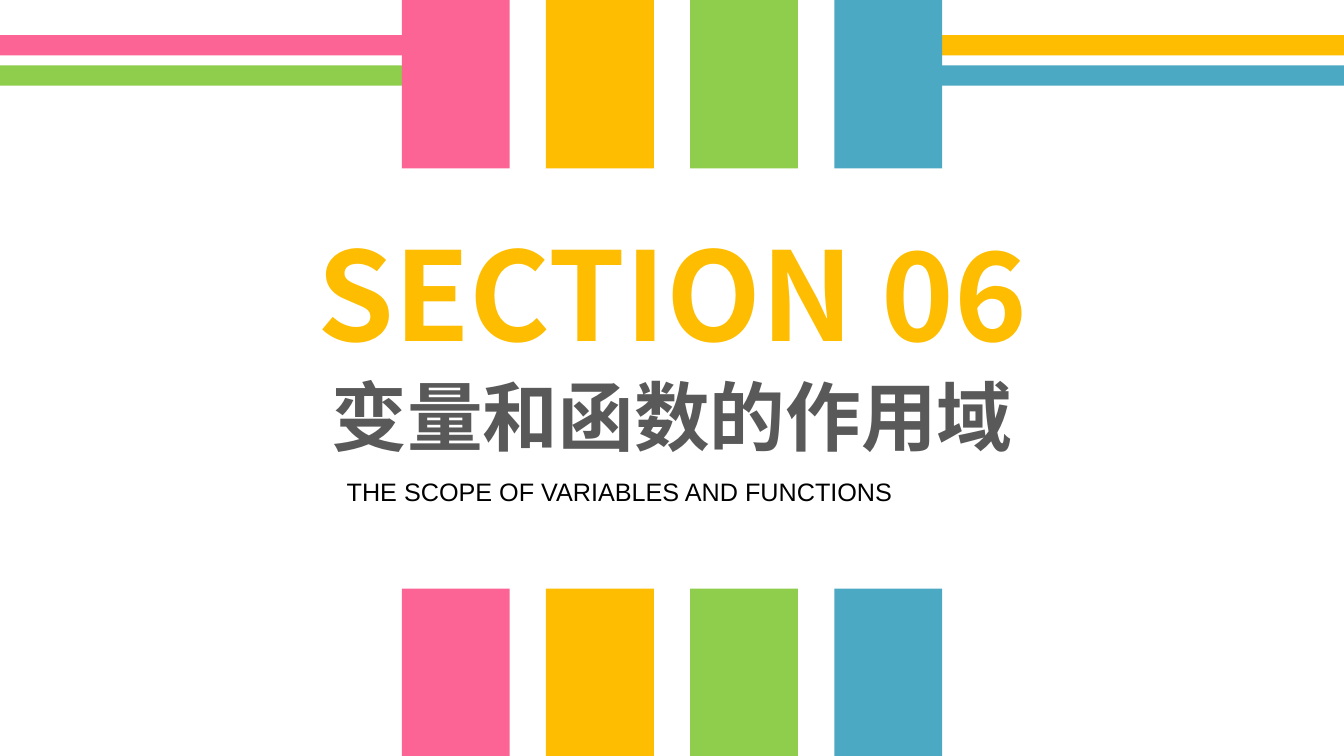
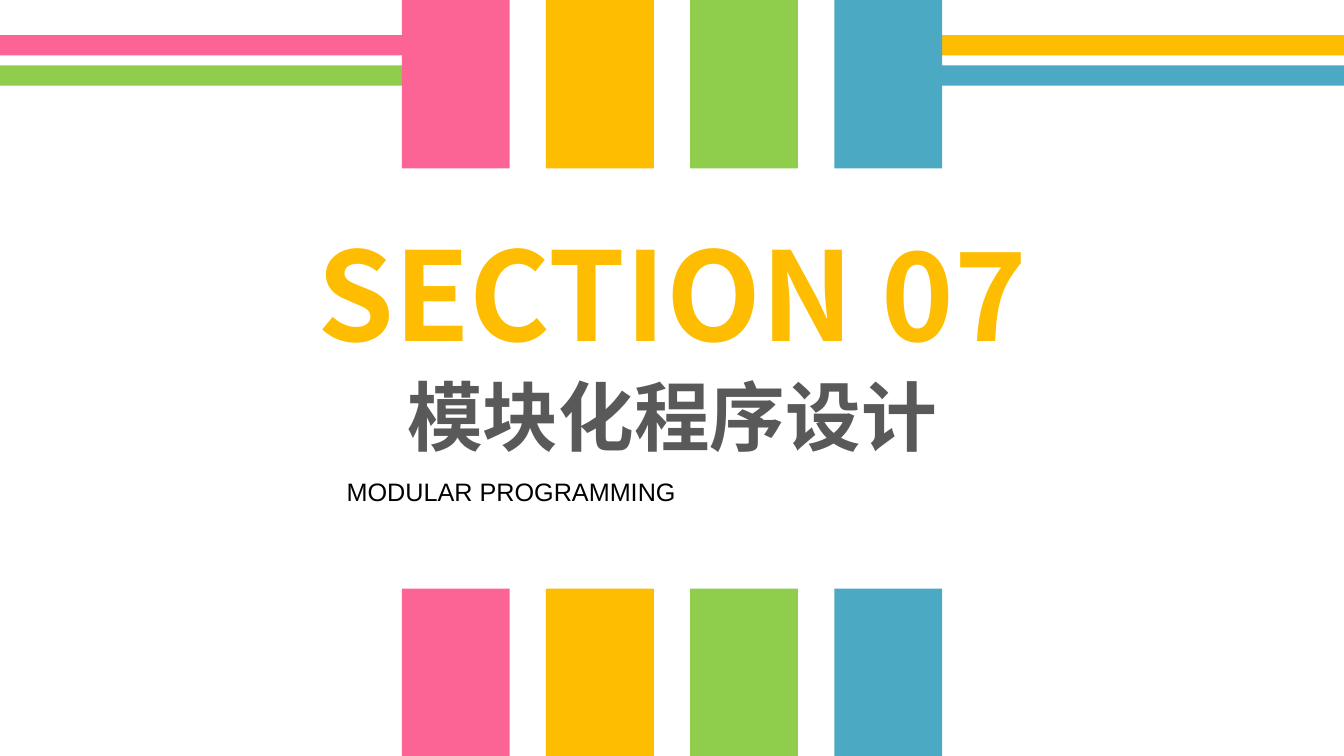
from pptx import Presentation
from pptx.dml.color import RGBColor
from pptx.enum import shapes, text
from pptx.util import Inches, Pt
from lxml import etree

# Content
SECTIONS = [
    ("SECTION 06", "变量和函数的作用域", "THE SCOPE OF VARIABLES AND FUNCTIONS"),
    ("SECTION 07", "模块化程序设计", "MODULAR PROGRAMMING"),
]

# Theme
PINK, YELLOW, GREEN, BLUE = "FC6495", "FEBD01", "8FCD4C", "4BA9C3"
WHITE = "FFFFFF"
CENTER, JUSTIFY = text.PP_ALIGN.CENTER, text.PP_ALIGN.JUSTIFY
HEAD_FONT, BODY_FONT = "Noto Sans CJK SC", "Arial"
THEME = {
    "number": dict(name=HEAD_FONT, size=Pt(88), bold=True, color=YELLOW),
    "title": dict(name=HEAD_FONT, size=Pt(54), bold=True, color="595959"),
    "subtitle": dict(name=BODY_FONT, size=Pt(18), bold=False, color="000000"),
}

# Layout, in inches
SLIDE_W, SLIDE_H = 13.33, 7.5
BAR_W, BAR_GAP = 1.07, 0.36
STRIPE_W, STRIPE_H, STRIPE_TOP, STRIPE_PITCH = 4.76, 0.2, 0.35, 0.3
PANEL = (2.78, 1.67, 7.78, 4.17)
# role: (box, alignment, line spacing, wrap)
TEXT_BOXES = {
    "number": ((2.86, 2.12, 7.61, 1.58), CENTER, 1.0, False),
    "title": ((3.1, 3.62, 7.13, 1.01), CENTER, 1.0, False),
    "subtitle": ((3.34, 4.63, 6.78, 0.45), JUSTIFY, 1.14, True),
}


def add_rect(s, box, color):
    sp = s.shapes.add_shape(shapes.MSO_SHAPE.RECTANGLE, *map(Inches, box))
    sp.shadow.inherit = False
    sp.fill.solid()
    sp.fill.fore_color.rgb = RGBColor.from_string(color)
    sp.line.fill.background()


def add_text(s, role, words):
    box, align, spacing, wrap = TEXT_BOXES[role]
    tf = s.shapes.add_textbox(*map(Inches, box)).text_frame
    tf.word_wrap = wrap
    tf.auto_size = text.MSO_AUTO_SIZE.SHAPE_TO_FIT_TEXT
    p = tf.paragraphs[0]
    p.alignment, p.line_spacing = align, spacing
    r = p.add_run()
    r.text = words
    style = THEME[role]
    for key in ("name", "size", "bold"):
        setattr(r.font, key, style[key])
    r.font.color.rgb = RGBColor.from_string(style["color"])
    # Chinese characters take their font from a:ea
    latin = r.font._element.find("{*}latin")
    ea = etree.Element(latin.tag.replace("latin", "ea"), typeface=style["name"])
    latin.addnext(ea)


def add_frame(s):
    # Paired stripes at both edges
    for left, colors in ((0, (PINK, GREEN)), (SLIDE_W - STRIPE_W, (YELLOW, BLUE))):
        for i, color in enumerate(colors):
            top = STRIPE_TOP + i * STRIPE_PITCH
            add_rect(s, (left, top, STRIPE_W, STRIPE_H), color)
    # Four centred bars, with a white panel across their middle
    bars = (PINK, YELLOW, GREEN, BLUE)
    pitch = BAR_W + BAR_GAP
    first = (SLIDE_W - len(bars) * pitch + BAR_GAP) / 2
    for i, color in enumerate(bars):
        add_rect(s, (first + i * pitch, 0, BAR_W, SLIDE_H), color)
    add_rect(s, PANEL, WHITE)


def main():
    prs = Presentation()
    prs.slide_width, prs.slide_height = Inches(SLIDE_W), Inches(SLIDE_H)
    for section in SECTIONS:
        s = prs.slides.add_slide(prs.slide_layouts[6])
        add_frame(s)
        for role, words in zip(TEXT_BOXES, section):
            add_text(s, role, words)
    prs.save("out.pptx")


if __name__ == "__main__":
    main()
